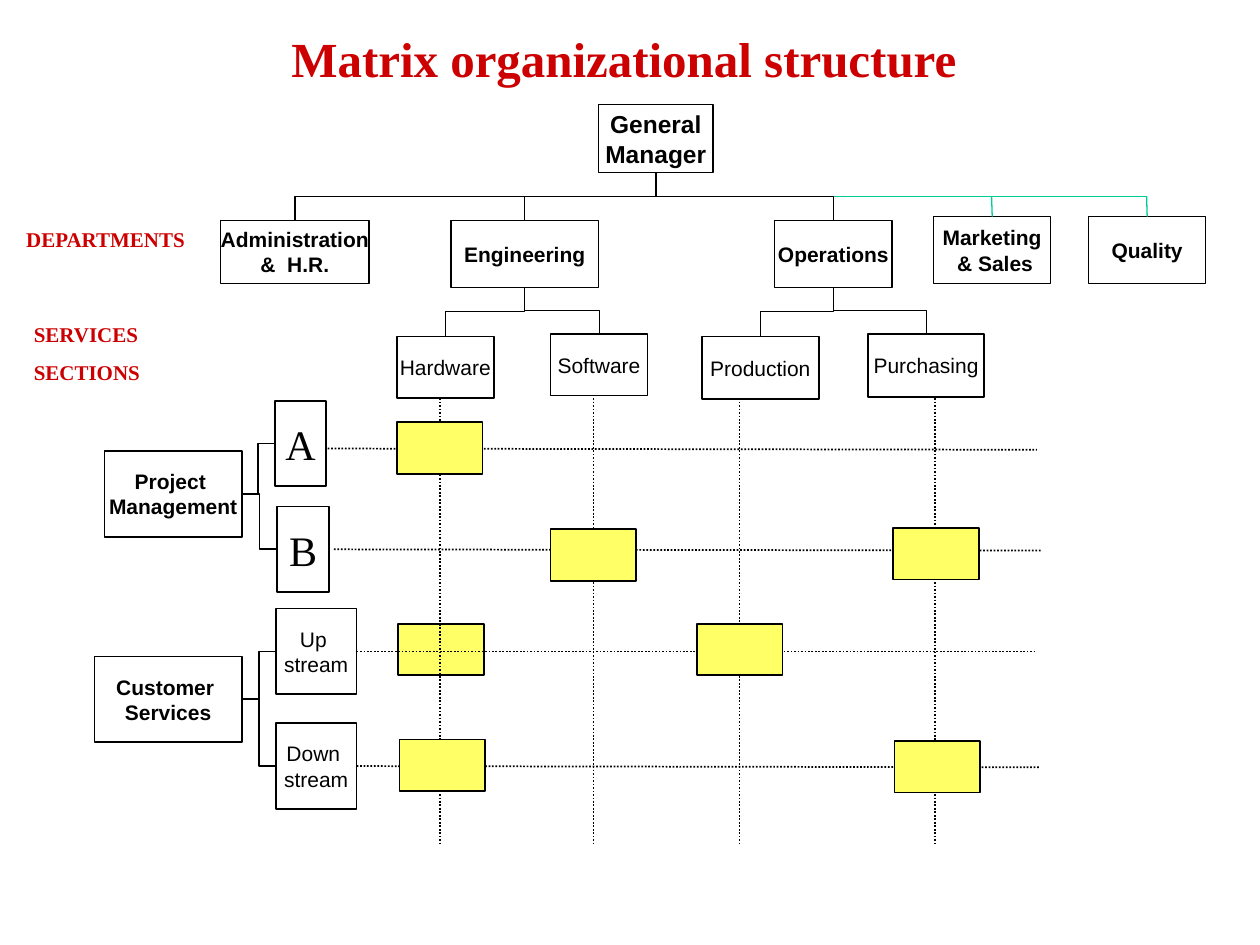
import pptx
import pptx.util
import pptx.dml.color
import pptx.enum.dml
import pptx.enum.shapes
import pptx.enum.text
import pptx.oxml

Inches, Pt = pptx.util.Inches, pptx.util.Pt
RGBColor = pptx.dml.color.RGBColor
Align, Anchor = pptx.enum.text.PP_ALIGN, pptx.enum.text.MSO_ANCHOR
Connector = pptx.enum.shapes.MSO_CONNECTOR

BLACK = RGBColor(0x00, 0x00, 0x00)
WHITE = RGBColor(0xFF, 0xFF, 0xFF)
RED = RGBColor(0xCC, 0x00, 0x00)
YELLOW = RGBColor(0xFF, 0xFF, 0x66)
GREEN = RGBColor(0x00, 0xCC, 0x98)
SANS, SERIF = "Arial", "Times New Roman"
TOP, LEFT, BOTTOM, RIGHT = range(4)

# Content: text lines, left, top, width, height
MANAGER = {"manager": (["General", "Manager"], 4.75, 0.83, 0.91, 0.54)}
DEPARTMENTS = {
    "engineering": (["Engineering"], 3.58, 1.75, 1.17, 0.53),
    "administration": (["Administration", "&  H.R."], 1.75, 1.75, 1.18, 0.5),
    "operations": (["Operations"], 6.15, 1.75, 0.93, 0.53),
    "marketing": (["Marketing", " & Sales"], 7.41, 1.72, 0.93, 0.53),
    "quality": (["Quality"], 8.64, 1.72, 0.93, 0.53),
}
SECTIONS = {
    "hardware": (["Hardware"], 3.15, 2.67, 0.77, 0.49),
    "software": (["Software"], 4.37, 2.65, 0.77, 0.49),
    "production": (["Production"], 5.57, 2.67, 0.93, 0.5),
    "purchasing": (["Purchasing"], 6.89, 2.65, 0.92, 0.5),
}
SERVICES = {
    "customer": (["Customer ", "Services"], 0.75, 5.21, 1.17, 0.68),
    "project": (["Project ", "Management"], 0.83, 3.58, 1.09, 0.68),
}
STREAMS = {
    "down": (["Down ", "stream"], 2.19, 5.74, 0.64, 0.68),
    "up": (["Up ", "stream"], 2.19, 4.83, 0.64, 0.68),
}
PROJECTS = {
    "b": (["B"], 2.2, 4.02, 0.41, 0.68),
    "a": (["A"], 2.18, 3.18, 0.41, 0.68),
}
# Box groups: boxes, size, bold, font, fill, line width
GROUPS = [
    (MANAGER, 14, True, SANS, WHITE, 1),
    (SERVICES, 12, True, SANS, WHITE, 1),
    (STREAMS, 12, False, SANS, WHITE, 1),
    (PROJECTS, 24, False, SERIF, WHITE, 1),
    (DEPARTMENTS, 12, True, SANS, None, 0.75),
    (SECTIONS, 12, False, SANS, WHITE, 1),
]
DOWN_LINKS = [
    ("manager", "operations"), ("manager", "administration"),
    ("manager", "engineering"), ("engineering", "hardware"),
    ("engineering", "software"), ("operations", "production"),
    ("operations", "purchasing"),
]
SIDE_LINKS = [("customer", "up"), ("customer", "down"),
              ("project", "a"), ("project", "b")]

# Matrix: row lines (start box if joined, from, to), column positions, cells
ROWS = [
    (None, (2.6, 3.56), (8.23, 3.57)),
    (None, (2.65, 4.36), (8.27, 4.37)),
    ("up", (2.83, 5.17), (8.23, 5.17)),
    ("down", (2.83, 6.08), (8.25, 6.09)),
]
COLUMNS = [3.49, 4.71, 5.87, 7.42]
COLUMN_TOP, COLUMN_BOTTOM = 2.94, 6.69
CELL_WIDTH, CELL_HEIGHT = 0.68, 0.41
CELL_UNDER_LINES = (3.16, 4.95)
CELLS = [(3.15, 3.35), (3.17, 5.87), (5.53, 4.95),
         (7.09, 4.19), (4.37, 4.2), (7.1, 5.88)]

# Captions: lines, left, top, width, height, size, alignment, anchor, inset, gap
CAPTIONS = [
    (["Matrix organizational structure "], 0.75, 0, 8.5, 0.92, 28,
     Align.CENTER, Anchor.MIDDLE, 0, 0),
    (["DEPARTMENTS"], 0.11, 1.75, 1.56, 0.3, 12, Align.LEFT, Anchor.TOP, 0.05, 0),
    (["SERVICES", "SECTIONS"], 0.17, 2.5, 1.42, 0.61, 12,
     Align.LEFT, Anchor.TOP, 0.05, 7.5),
]

deck = pptx.Presentation()
deck.slide_width, deck.slide_height = Inches(10), Inches(7.5)
page = deck.slides.add_slide(deck.slide_layouts[6])
boxes = {}


def write(frame, lines, size, bold, font, color, align, gap=0):
    for index, line in enumerate(lines):
        para = frame.paragraphs[0] if index == 0 else frame.add_paragraph()
        para.text = line
        para.alignment = align
        if index and gap:
            para.space_before = Pt(gap)
        para.font.size, para.font.bold, para.font.name = Pt(size), bold, font
        para.font.color.rgb = color


def add_box(left, top, width, height, fill, weight):
    box = page.shapes.add_shape(pptx.enum.shapes.MSO_SHAPE.RECTANGLE, Inches(left),
                                Inches(top), Inches(width), Inches(height))
    box.shadow.inherit = False
    if fill is None:
        box.fill.background()
    else:
        box.fill.solid()
        box.fill.fore_color.rgb = fill
    box.line.color.rgb, box.line.width = BLACK, Pt(weight)
    return box


def add_line(start, end, color=BLACK, weight=1.0, dotted=False, kind=Connector.STRAIGHT):
    line = page.shapes.add_connector(kind, *(Inches(value) for value in (*start, *end)))
    line.line.color.rgb, line.line.width = color, Pt(weight)
    if dotted:
        line.line.dash_style = pptx.enum.dml.MSO_LINE.ROUND_DOT
    line._element.spPr.append(pptx.oxml.parse_xml(
        '<a:effectLst xmlns:a="http://schemas.openxmlformats.org/drawingml/2006/main"/>'))
    return line


def link_side(parent, child):
    line = add_line((0, 0), (1, 1), kind=Connector.ELBOW)
    line.begin_connect(boxes[parent], RIGHT)
    line.end_connect(boxes[child], LEFT)


def link_down(parent, child):
    """Elbow that leaves downwards: a turned frame, mirrored when it goes right."""
    upper, lower = boxes[parent], boxes[child]
    line = add_line((0, 0), (1, 1), weight=0.75, kind=Connector.ELBOW)
    line.begin_connect(upper, BOTTOM)
    line.end_connect(lower, TOP)
    start_x, end_x = (box.left + box.width // 2 for box in (upper, lower))
    start_y, end_y = upper.top + upper.height, lower.top
    length, spread = end_y - start_y, abs(end_x - start_x)
    line.left = (start_x + end_x - length) // 2
    line.top = (start_y + end_y - spread) // 2
    line.width, line.height = length, spread
    frame = line._element.spPr.xfrm
    goes_right = end_x > start_x
    frame.set("rot", "16200000" if goes_right else "5400000")
    frame.set("flipH", "1" if goes_right else "0")
    frame.set("flipV", "0")


# Matrix grid, behind the boxes
add_box(*CELL_UNDER_LINES, CELL_WIDTH, CELL_HEIGHT, YELLOW, 1)
row_lines = [(name, add_line(start, end, dotted=True)) for name, start, end in ROWS]
for x in COLUMNS:
    add_line((x, COLUMN_TOP), (x, COLUMN_BOTTOM), dotted=True)
for left, top in CELLS:
    add_box(left, top, CELL_WIDTH, CELL_HEIGHT, YELLOW, 1)

# Organization boxes
for group, size, bold, font, fill, weight in GROUPS:
    for name, (lines, *place) in group.items():
        box = boxes[name] = add_box(*place, fill, weight)
        box.text_frame.word_wrap = False
        box.text_frame.vertical_anchor = Anchor.MIDDLE
        write(box.text_frame, lines, size, bold, font, BLACK, Align.CENTER)

# Links between boxes
for name, line in row_lines:
    if name:
        line.begin_connect(boxes[name], RIGHT)
for parent, child in SIDE_LINKS:
    link_side(parent, child)
for parent, child in DOWN_LINKS:
    link_down(parent, child)

# Green branch to the added departments
add_line((6.62, 1.56), (9.1, 1.56), GREEN, 0.75)
for name, x in (("marketing", 7.87), ("quality", 9.1)):
    add_line((x, 1.56), (x, 1.72), GREEN, 0.75).end_connect(boxes[name], TOP)

# Title and captions
for lines, left, top, width, height, size, align, anchor, inset, gap in CAPTIONS:
    caption = page.shapes.add_textbox(Inches(left), Inches(top), Inches(width), Inches(height))
    frame = caption.text_frame
    frame.word_wrap, frame.vertical_anchor = True, anchor
    frame.margin_top = frame.margin_bottom = Inches(inset)
    write(frame, lines, size, True, SERIF, RED, align, gap)

deck.save("out.pptx")
